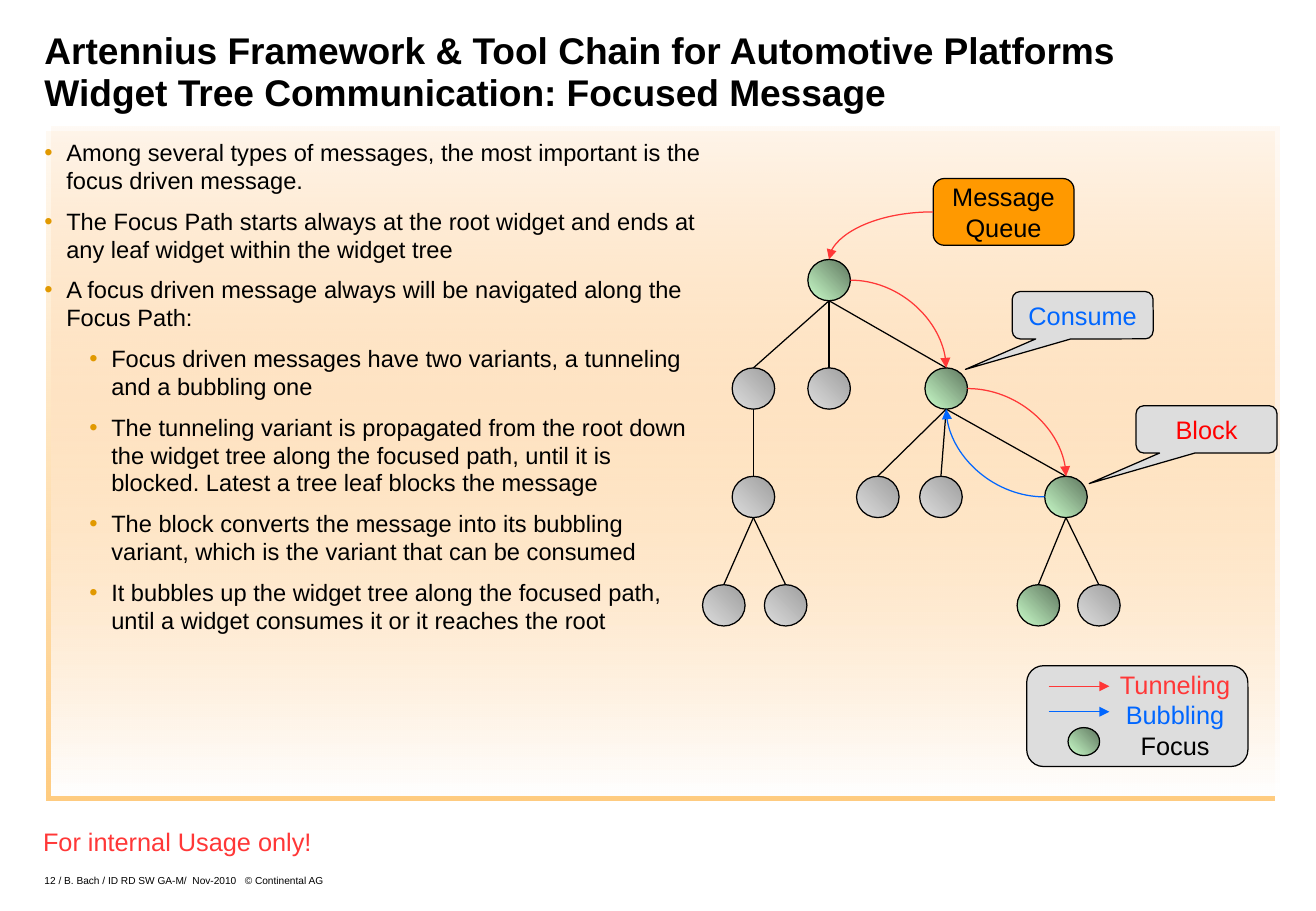
from dataclasses import dataclass
from typing import NamedTuple, Optional

from lxml import etree
from pptx import Presentation
from pptx import util as u
from pptx.dml import color
from pptx.enum import shapes, text
from pptx.oxml import ns
from pptx.shapes import autoshape, connector, shapetree

WIDTH, HEIGHT = u.Inches(10.83), u.Inches(7.5)
BLACK, RED, BLUE, SILVER, ORANGE = "000000", "FF3737", "0066FF", "DDDDDD", "FF9900"
FOCUS, PLAIN = ("CCFFCC", "5E765E"), (SILVER, "9E9E9E")
NODE_W, NODE_H = 3.23, 4.53
ROOT_ROW, ROW_STEP = 30.75, 11.9
LABEL_W = 10.71
Shapes = shapetree.SlideShapes | shapetree.GroupShapes
Kind = shapes.MSO_SHAPE


class Point(NamedTuple):
    x: float
    y: float


class Box(NamedTuple):
    x: float
    y: float
    w: float
    h: float


@dataclass(frozen=True)
class Node:
    column: float
    level: int
    parent: Optional[str] = None
    focused: bool = False

    @property
    def row(self) -> float:
        return ROOT_ROW + self.level * ROW_STEP

    @property
    def box(self) -> Box:
        return Box(self.column - NODE_W / 2, self.row - NODE_H / 2, NODE_W, NODE_H)

    def side(self, dx: int, dy: int) -> Point:
        return Point(self.column + dx * NODE_W / 2, self.row + dy * NODE_H / 2)


@dataclass(frozen=True)
class Label:
    kind: Kind
    box: Box
    fill: str
    lines: tuple[str, ...]
    ink: str
    adjust: tuple[float, ...]


@dataclass(frozen=True)
class Bullet:
    level: int
    words: str


TREE = {
    "root": Node(63.0, 0, focused=True),
    "left": Node(57.25, 1, "root"),
    "middle": Node(63.0, 1, "root"),
    "consumer": Node(71.9, 1, "root", True),
    "left child": Node(57.25, 2, "left"),
    "first child": Node(66.7, 2, "consumer"),
    "second child": Node(71.5, 2, "consumer"),
    "blocker": Node(81.0, 2, "consumer", True),
    "leaf 1": Node(55.0, 3, "left child"),
    "leaf 2": Node(59.7, 3, "left child"),
    "leaf 3": Node(78.9, 3, "blocker", True),
    "leaf 4": Node(83.5, 3, "blocker"),
}
QUEUE = Label(Kind.ROUNDED_RECTANGLE, Box(70.91, 19.6, LABEL_W, 7.33), ORANGE,
              ("Message", "Queue"), BLACK, (0.167,))
CALLOUT = (-0.832, 1.143, 0.167)
CALLOUTS = [
    Label(Kind.ROUNDED_RECTANGULAR_CALLOUT, Box(76.92, 32, LABEL_W, 5.2), SILVER,
          ("Consume",), BLUE, CALLOUT),
    Label(Kind.ROUNDED_RECTANGULAR_CALLOUT, Box(86.33, 44.53, LABEL_W, 5.2), SILVER,
          ("Block",), "FF0000", CALLOUT),
]
TITLE = ("Artennius Framework & Tool Chain for Automotive Platforms",
         "Widget Tree Communication: Focused Message")
BULLETS = [
    Bullet(0, "Among several types of messages, the most important is the focus driven message."),
    Bullet(0, "The Focus Path starts always at the root widget and ends at any leaf widget within the widget tree"),
    Bullet(0, "A focus driven message always will be navigated along the Focus Path:"),
    Bullet(1, "Focus driven messages have two variants, a tunneling and a bubbling one"),
    Bullet(1, "The tunneling variant is propagated from the root down the widget tree along the focused path, until it is blocked. Latest a tree leaf blocks the message"),
    Bullet(1, "The block converts the message into its bubbling variant, which is the variant that can be consumed"),
    Bullet(1, "It bubbles up the widget tree along the focused path, until a widget consumes it or it reaches the root"),
]


def rgb(value: str) -> color.RGBColor:
    return color.RGBColor.from_string(value)


def across(share: float) -> int:
    return u.Emu(round(WIDTH * share / 100))


def down(share: float) -> int:
    return u.Emu(round(HEIGHT * share / 100))


def place(box: Box) -> tuple[int, int, int, int]:
    return across(box.x), down(box.y), across(box.w), down(box.h)


def add_element(parent: etree._Element, tag: str, **attributes: str) -> etree._Element:
    return etree.SubElement(parent, ns.qn(tag), **attributes)


def add_run(p, words: str, size: float, ink: str = BLACK, bold: bool = False) -> None:
    r = p.add_run()
    r.text = words
    r.font.name, r.font.size, r.font.bold = "Arial", u.Pt(size), bold
    r.font.color.rgb = rgb(ink)


def clear_margins(tf) -> None:
    tf.margin_left = tf.margin_right = tf.margin_top = tf.margin_bottom = 0


def add_lines(tf, lines: list[tuple[str, str]]) -> None:
    for i, (words, ink) in enumerate(lines):
        p = tf.add_paragraph() if i else tf.paragraphs[0]
        p.alignment = text.PP_ALIGN.CENTER
        add_run(p, words, 15, ink)


def add_textbox(target: Shapes, box: Box, wrap: bool = False):
    tf = target.add_textbox(*place(box)).text_frame
    tf.word_wrap = wrap
    return tf


def add_solid(target: Shapes, kind: Kind, box: Box, fill: str,
              adjust: tuple[float, ...]) -> autoshape.Shape:
    sp = target.add_shape(kind, *place(box))
    sp.shadow.inherit = False
    sp.fill.solid()
    sp.fill.fore_color.rgb = rgb(fill)
    sp.line.color.rgb, sp.line.width = rgb(BLACK), u.Pt(0.75)
    for i, value in enumerate(adjust):
        sp.adjustments[i] = value
    return sp


def set_gradient(sp: autoshape.Shape, ends: tuple[str, str], angle: float) -> None:
    sp.fill.gradient()
    sp.fill.gradient_angle = angle
    for stop, position, value in zip(sp.fill.gradient_stops, (0, 1), ends):
        stop.position, stop.color.rgb = position, rgb(value)


def add_ball(target: Shapes, box: Box, focused: bool) -> None:
    sp = add_solid(target, Kind.OVAL, box, SILVER, ())
    set_gradient(sp, FOCUS if focused else PLAIN, 45)


def add_label(target: Shapes, label: Label) -> autoshape.Shape:
    sp = add_solid(target, label.kind, label.box, label.fill, label.adjust)
    tf = sp.text_frame
    tf.word_wrap = False
    tf.vertical_anchor = text.MSO_ANCHOR.MIDDLE
    add_lines(tf, [(words, label.ink) for words in label.lines])
    return sp


def add_link(target: Shapes, start: Point, end: Point, ink: str = BLACK,
             arrow: bool = False, curved: bool = False) -> connector.Connector:
    kind = shapes.MSO_CONNECTOR.CURVE if curved else shapes.MSO_CONNECTOR.STRAIGHT
    link = target.add_connector(kind, across(start.x), down(start.y), across(end.x), down(end.y))
    link.line.color.rgb, link.line.width = rgb(ink), u.Pt(0.75)
    properties = link._element.spPr
    if curved:
        properties.find(ns.qn("a:prstGeom")).set("prst", "curvedConnector2")
    if arrow:
        add_element(link.line._get_or_add_ln(), "a:tailEnd", type="triangle")
    add_element(properties, "a:effectLst")
    return link


def add_panel(target: Shapes) -> None:
    sp = target.add_shape(Kind.RECTANGLE, *place(Box(3.88, 13.87, 93.35, 73.47)))
    sp.shadow.inherit = False
    sp.line.fill.background()
    set_gradient(sp, ("FFCC99", "FFFFFF"), 270)
    properties = sp._element.spPr
    add_element(next(properties.iter(ns.qn("a:srgbClr"))), "a:alpha", val="10000")
    shadow = add_element(properties.find(ns.qn("a:effectLst")), "a:outerShdw", blurRad="0",
                         dist=str(u.Pt(4.2)), dir="8100000", algn="ctr", rotWithShape="0")
    add_element(add_element(shadow, "a:srgbClr", val=ORANGE), "a:alpha", val="50000")


def fill_title(sp) -> None:
    sp.left, sp.top, sp.width, sp.height = place(Box(3.38, 3.27, 93.26, 9.2))
    tf = sp.text_frame
    clear_margins(tf)
    tf.word_wrap, tf.auto_size = True, text.MSO_AUTO_SIZE.NONE
    tf.vertical_anchor = text.MSO_ANCHOR.BOTTOM
    p = tf.paragraphs[0]
    p.alignment, p.line_spacing = text.PP_ALIGN.LEFT, u.Pt(24.8)
    add_run(p, TITLE[0], 22, bold=True)
    p.add_line_break()
    add_run(p, TITLE[1], 22, bold=True)


def add_bullets(target: Shapes) -> None:
    tf = add_textbox(target, Box(3.38, 15.2, 50.05, 70.4), wrap=True)
    clear_margins(tf)
    for i, bullet in enumerate(BULLETS):
        p = tf.add_paragraph() if i else tf.paragraphs[0]
        p.level = bullet.level
        pPr = p._p.get_or_add_pPr()
        pPr.set("marL", str(u.Inches(0.18 + 0.37 * bullet.level)))
        pPr.set("indent", str(u.Inches(-0.18)))
        add_element(add_element(pPr, "a:buClr"), "a:srgbClr", val="E19900")
        add_element(pPr, "a:buFont", typeface="Arial")
        add_element(pPr, "a:buChar", char="•")
        p.line_spacing, p.space_after = u.Pt(16.5), u.Pt(7.7)
        add_run(p, bullet.words, 14)


def add_tree(target: Shapes) -> None:
    for node in TREE.values():
        add_ball(target, node.box, node.focused)
        if node.parent:
            add_link(target, TREE[node.parent].side(0, 1), node.side(0, -1))
    queue = add_label(target, QUEUE)
    root, consumer, blocker = TREE["root"], TREE["consumer"], TREE["blocker"]
    entry = Point(QUEUE.box.x, QUEUE.box.y + QUEUE.box.h / 2)
    add_link(target, entry, root.side(0, -1), RED, True, True).begin_connect(queue, 1)
    for source, goal in ((root, consumer), (consumer, blocker)):
        add_link(target, source.side(1, 0), goal.side(0, -1), RED, True, True)
    add_link(target, blocker.side(-1, 0), consumer.side(0, 1), BLUE, True, True)
    for label in CALLOUTS:
        add_label(target, label)


def add_legend(target: Shapes) -> None:
    add_solid(target, Kind.ROUNDED_RECTANGLE, Box(78.02, 73.07, 16.81, 11.07), SILVER, (0.167,))
    for row, ink in ((75.33, RED), (78.13, BLUE)):
        add_link(target, Point(79.69, row), Point(84.3, row), ink, True)
    tf = add_textbox(target, Box(84.21, 72.8, 10.16, 11.2))
    tf.margin_left = tf.margin_right = 0
    add_lines(tf, [("Tunneling", RED), ("Bubbling", BLUE), ("Focus", BLACK)])
    add_ball(target, Box(81.16, 79.87, 2.4, 3.07), True)


def add_footer(target: Shapes) -> None:
    add_lines(add_textbox(target, Box(2.31, 90, 22.35, 4.67)), [("For internal Usage only!", RED)])
    tf = add_textbox(target, Box(3.38, 95.2, 31.67, 2.13), wrap=True)
    clear_margins(tf)
    tf.vertical_anchor = text.MSO_ANCHOR.BOTTOM
    p = tf.paragraphs[0]
    p.line_spacing = u.Pt(5.5)
    add_run(p, "12 / B. Bach / ID RD SW GA-M/  Nov-2010   © Continental AG", 6)


def main() -> None:
    prs = Presentation()
    prs.slide_width, prs.slide_height = WIDTH, HEIGHT
    s = prs.slides.add_slide(prs.slide_layouts[5])
    add_panel(s.shapes)
    fill_title(s.shapes.title)
    add_bullets(s.shapes)
    add_tree(s.shapes)
    add_legend(s.shapes.add_group_shape().shapes)
    add_footer(s.shapes)
    prs.save("out.pptx")


if __name__ == "__main__":
    main()
